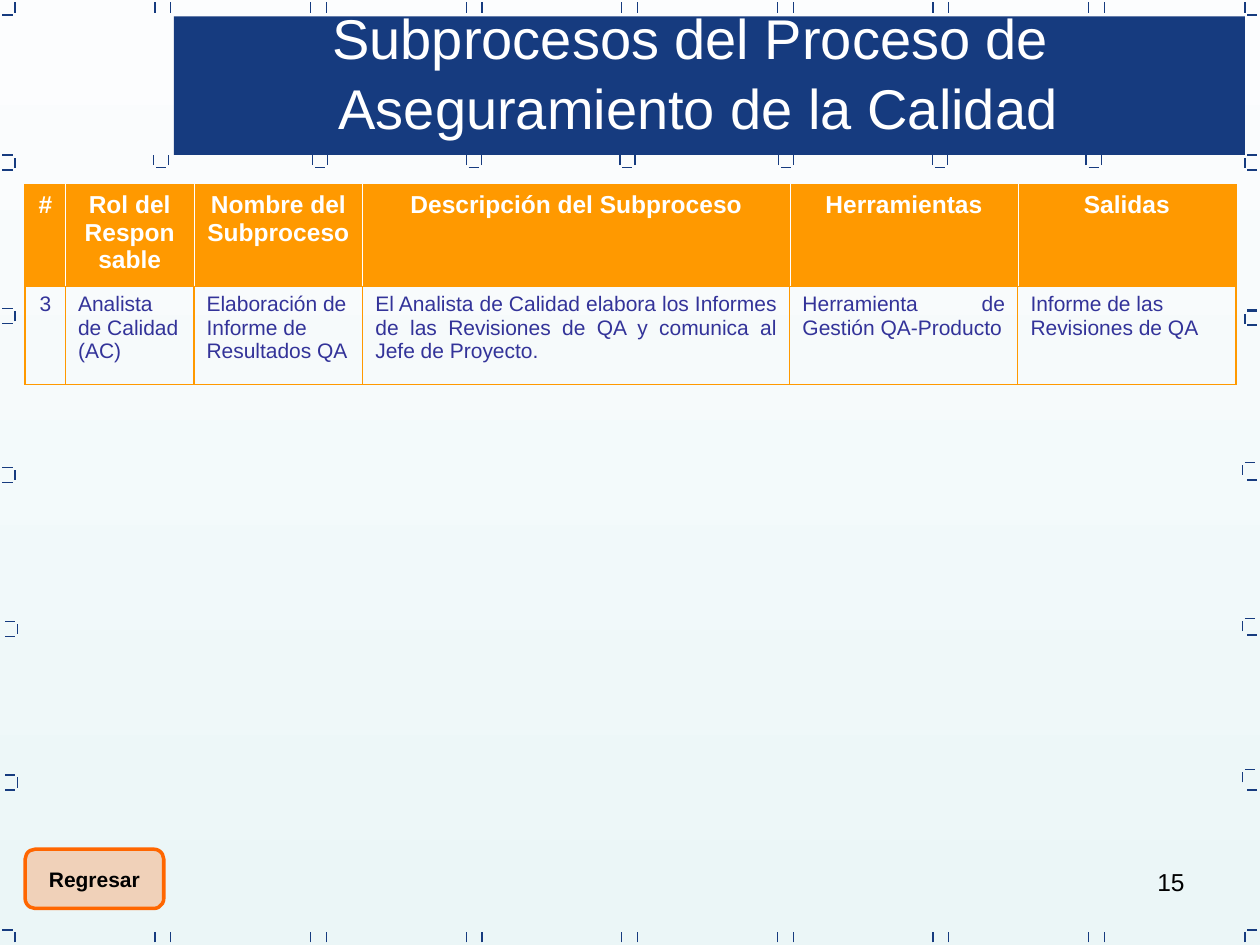
from lxml.etree import SubElement as Sub
from pptx import Presentation
from pptx.dml.color import RGBColor as RGB
from pptx.enum.shapes import MSO_CONNECTOR as Link, MSO_SHAPE as Kind
from pptx.enum.text import MSO_ANCHOR as Anchor, PP_ALIGN as Align
from pptx.oxml import parse_xml
from pptx.oxml.ns import nsdecls, qn
from pptx.util import Inches, Pt


class Theme:
    font = "Arial"
    navy, orange, button = "163B7F", "FF9900", "FF6600"
    white, black, ink = "FFFFFF", "000000", "333399"
    sky, mist = "FCFDFE", "EBF6F7"
    title, head, body = 32, 14, 12
    thin, edge, rule = 0.45, 1.08, 0.75


# Content
TITLE = ["Subprocesos del Proceso de ", "Aseguramiento de la Calidad"]
HEADS = ["#", "Rol del Responsable", "Nombre del Subproceso",
         "Descripción del Subproceso", "Herramientas", "Salidas"]
CELLS = [
    ("3", Align.CENTER),
    ("Analista de Calidad (AC)", Align.LEFT),
    ("Elaboración de Informe de Resultados QA", Align.LEFT),
    ("El Analista de Calidad elabora los Informes de las Revisiones de QA "
     "y comunica al Jefe de Proyecto.", Align.JUSTIFY),
    ("Herramienta de Gestión QA-Producto", Align.JUSTIFY),
    ("Informe de las Revisiones de QA", Align.LEFT),
]
ROWS = [[(text, Align.CENTER) for text in HEADS], CELLS]
WIDTHS = [0.32, 1.02, 1.34, 3.39, 1.81, 1.73]
HEIGHTS = [0.8, 0.78]
BACK, PAGE = "Regresar", "15"

# Frame marks: a tick is 0.08 long and stands 0.02 off its corner
TICK, GAP = 0.08, 0.02
TOP, BASE = 0.02, 7.4
STEP, FIRST, PAIR = 1.235, 1.23, 0.125
CUPS = [1.22, 2.48, 3.7, 4.92, 6.18, 7.4, 8.62]
LEFT = [(0.12, 1.25), (0.12, 2.47), (0.12, 3.73), (0.14, 4.95), (0.14, 6.17)]
RIGHT = [(9.88, 1.25), (9.88, 2.49), (9.86, 3.69), (9.86, 4.93), (9.86, 6.13)]
DASHES = [1.35, 2.46, 2.58, 3.81, 5.04, 6.27]

deck = Presentation()
deck.slide_width, deck.slide_height = Inches(10), Inches(7.5)
slide = deck.slides.add_slide(deck.slide_layouts[6])
shapes = slide.shapes


def color(code):
    return RGB.from_string(code)


def box(x, y, w, h):
    return [Inches(n) for n in (x, y, w, h)]


def write(frame, lines, size, code, align, bold=False):
    for i, text in enumerate(lines):
        para = frame.paragraphs[0] if i == 0 else frame.add_paragraph()
        para.alignment = align
        run = para.add_run()
        run.text = text
        font = run.font
        font.name, font.size, font.bold = Theme.font, Pt(size), bold
        font.color.rgb = color(code)


def line(x1, y1, x2, y2):
    mark = shapes.add_connector(Link.STRAIGHT, *box(x1, y1, x2, y2))
    mark.line.color.rgb = color(Theme.navy)
    mark.line.width = Pt(Theme.rule)
    Sub(mark._element.spPr, qn("a:effectLst"))


def post(x, y):
    line(x, y + TICK, x, y)


def dash(x, y):
    line(x, y, x + TICK, y)


def border(cell, sides):
    props = cell._tc.get_or_add_tcPr()
    for i, (side, (code, width)) in enumerate(zip("LRTB", sides)):
        props.insert(i, parse_xml(
            f'<a:ln{side} {nsdecls("a")} w="{Pt(width)}"><a:solidFill>'
            f'<a:srgbClr val="{code}"/></a:solidFill></a:ln{side}>'))


# Background
back = slide.background.fill
back.gradient()
back.gradient_angle = 270
for stop, code in zip(back.gradient_stops, (Theme.sky, Theme.mist)):
    stop.color.rgb = color(code)

# Page number
page = shapes.add_textbox(*box(7.17, 6.83, 2.33, 0.52)).text_frame
page.word_wrap = True
write(page, [PAGE], Theme.head, Theme.black, Align.RIGHT)

# Ticks along the top and bottom edges
for i in range(7):
    for x in (FIRST + i * STEP, FIRST + i * STEP + PAIR):
        for y in (TOP, BASE):
            post(x, y)

# Corners
for x, side in ((0.12, 0.02), (9.88, 9.9)):
    for y, level in ((TOP, 0.12), (BASE, 7.38)):
        post(x, y)
        dash(side, level)

# Title band
band = shapes.add_shape(Kind.RECTANGLE, *box(1.38, 0.13, 8.5, 1.1))
band.shadow.inherit = False
band.fill.solid()
band.fill.fore_color.rgb = color(Theme.navy)
band.line.fill.background()

# Brackets on both sides
for x, y in LEFT:
    post(x, y)
    for level in (y - GAP, y + TICK + GAP):
        dash(x - TICK - GAP, level)
for x, y in RIGHT:
    post(x, y)
    dash(x + GAP, y - GAP)
for y in DASHES:
    dash(9.9, y)

# Cups under the band
for x in CUPS:
    post(x, 1.23)
    post(x + 0.12, 1.23)
    dash(x + GAP, 1.33)

# Table
grid = shapes.add_table(len(ROWS), len(WIDTHS),
                        *box(0.2, 1.47, sum(WIDTHS), sum(HEIGHTS))).table
grid.horz_banding = False
for col, width in zip(grid.columns, WIDTHS):
    col.width = Inches(width)
outer = (Theme.orange, Theme.edge)
inner = (Theme.orange, Theme.rule)
for r, row in enumerate(ROWS):
    grid.rows[r].height = Inches(HEIGHTS[r])
    head = r == 0
    split = (Theme.white, Theme.thin) if head else inner
    for c, (text, align) in enumerate(row):
        cell = grid.cell(r, c)
        if head:
            cell.fill.solid()
            cell.fill.fore_color.rgb = color(Theme.orange)
        else:
            cell.fill.background()
        border(cell, (outer if c == 0 else split,
                      outer if c == len(row) - 1 else split,
                      outer if head else inner,
                      inner if head else outer))
        write(cell.text_frame, [text], Theme.head if head else Theme.body,
              Theme.white if head else Theme.ink, align, head)

# Title
title = shapes.add_textbox(*box(1.46, 0, 8.17, 1.17)).text_frame
title.word_wrap = True
title.vertical_anchor = Anchor.BOTTOM
write(title, TITLE, Theme.title, Theme.white, Align.CENTER)
title.paragraphs[1].space_before = Pt(2)

# Return button
key = shapes.add_shape(Kind.FLOWCHART_ALTERNATE_PROCESS,
                       *box(0.2, 6.74, 1.1, 0.47))
key.shadow.inherit = False
key.fill.solid()
key.fill.fore_color.rgb = color(Theme.button)
tint = key._element.spPr.find(qn("a:solidFill")).find(qn("a:srgbClr"))
Sub(tint, qn("a:alpha"), val="25000")
key.line.color.rgb = color(Theme.button)
key.line.width = Pt(2)
key.text_frame.word_wrap = False
key.text_frame.vertical_anchor = Anchor.MIDDLE
write(key.text_frame, [BACK], Theme.body, Theme.black, Align.CENTER, True)

deck.save("out.pptx")
